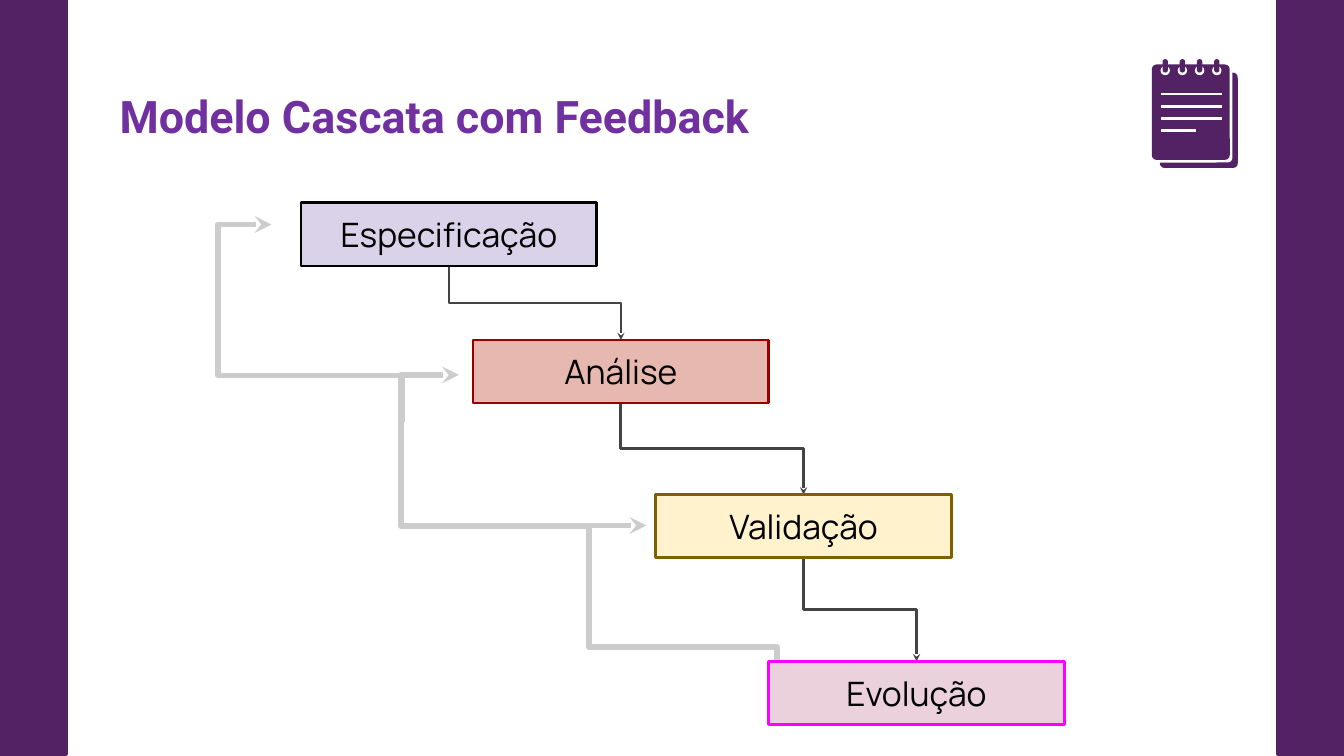
from lxml.etree import SubElement
from pptx import Presentation
from pptx.dml.color import RGBColor
from pptx.enum.shapes import MSO_CONNECTOR, MSO_SHAPE
from pptx.enum.text import MSO_ANCHOR, MSO_AUTO_SIZE, PP_ALIGN
from pptx.oxml.ns import qn
from pptx.util import Inches, Pt

PURPLE = RGBColor(0x53, 0x22, 0x64)
TITLE_PURPLE = RGBColor(0x70, 0x30, 0xA0)
WHITE = RGBColor(0xFF, 0xFF, 0xFF)
BLACK = RGBColor(0x00, 0x00, 0x00)
DARK_GRAY = RGBColor(0x43, 0x43, 0x43)
LIGHT_GRAY = RGBColor(0xCC, 0xCC, 0xCC)
LAVENDER = RGBColor(0xD9, 0xD2, 0xE9)
SALMON = RGBColor(0xE6, 0xB8, 0xAF)
DARK_RED = RGBColor(0x98, 0x00, 0x00)
CREAM = RGBColor(0xFF, 0xF2, 0xCC)
OLIVE = RGBColor(0x7F, 0x60, 0x00)
PINK = RGBColor(0xEA, 0xD1, 0xDC)
MAGENTA = RGBColor(0xFF, 0x00, 0xFF)

PHASE_WIDTH, PHASE_HEIGHT = 2.2, 0.47
PHASES = [
    ("Especificação", 2.24, 1.51, LAVENDER, BLACK),
    ("Análise", 3.52, 2.53, SALMON, DARK_RED),
    ("Validação", 4.88, 3.68, CREAM, OLIVE),
    ("Evolução", 5.72, 4.92, PINK, MAGENTA),
]
FEEDBACK_WIDTH, FEEDBACK_HEIGHT = 0.97, 1.47
FEEDBACK_BENDS = [(0.236, 1.41), (0.236, 1.442), (0.385, 1.442)]


def add_block(slide, kind, left, top, width, height, fill, outline=None, weight=1.5):
    block = slide.shapes.add_shape(
        kind, Inches(left), Inches(top), Inches(width), Inches(height))
    block.shadow.inherit = False
    block.fill.solid()
    block.fill.fore_color.rgb = fill
    if outline is None:
        block.line.fill.background()
    else:
        block.line.color.rgb = outline
        block.line.width = Pt(weight)
    return block


def add_title(slide, wording):
    title = slide.shapes.title
    title.left, title.top = Inches(0.79), Inches(0.56)
    title.width, title.height = Inches(5.47), Inches(0.65)
    frame = title.text_frame
    frame.text = wording
    frame.auto_size = MSO_AUTO_SIZE.NONE
    frame.vertical_anchor = MSO_ANCHOR.TOP
    frame.margin_left = frame.margin_right = Inches(0.1)
    frame.margin_top = frame.margin_bottom = Inches(0.1)
    heading = frame.paragraphs[0]
    heading.alignment = PP_ALIGN.LEFT
    heading.font.name = "Roboto"
    heading.font.size = Pt(24)
    heading.font.bold = True
    heading.font.color.rgb = TITLE_PURPLE


def add_phase(slide, name, left, top, fill, outline):
    phase = add_block(slide, MSO_SHAPE.RECTANGLE, left, top,
                      PHASE_WIDTH, PHASE_HEIGHT, fill, outline)
    frame = phase.text_frame
    frame.vertical_anchor = MSO_ANCHOR.MIDDLE
    frame.text = name
    label = frame.paragraphs[0]
    label.alignment = PP_ALIGN.CENTER
    label.font.name = "Manrope"
    label.font.size = Pt(18)
    label.font.color.rgb = BLACK


def add_line(slide, kind, start, end, color, weight):
    line = slide.shapes.add_connector(kind, *(Inches(n) for n in start + end))
    line.line.color.rgb = color
    line.line.width = Pt(weight)
    SubElement(line._element.spPr, qn("a:effectLst"))
    return line


def add_vertical_elbow(slide, start, end, rotation, color, weight, preset, bends, head):
    """Draw an elbow arrow that leaves start vertically: a quarter-turned, flipped frame."""
    (x1, y1), (x2, y2) = start, end
    middle_x, middle_y = (x1 + x2) / 2, (y1 + y2) / 2
    half_width, half_height = abs(y2 - y1) / 2, abs(x2 - x1) / 2
    elbow = add_line(slide, MSO_CONNECTOR.ELBOW,
                     (middle_x + half_width, middle_y - half_height),
                     (middle_x - half_width, middle_y + half_height), color, weight)
    properties = elbow._element.spPr
    properties.find(qn("a:xfrm")).set("rot", str(rotation * 60000))
    geometry = properties.find(qn("a:prstGeom"))
    geometry.set("prst", preset)
    adjustments = geometry.find(qn("a:avLst"))
    for number, bend in enumerate(bends, 1):
        SubElement(adjustments, qn("a:gd"), name=f"adj{number}",
                   fmla=f"val {round(bend * 100000)}")
    SubElement(properties.find(qn("a:ln")), qn("a:tailEnd"),
               type="stealth", w=head, len=head)


def add_notepad(slide):
    for left, top, width, height, fill in [
        (8.63, 0.54, 0.58, 0.71, PURPLE),
        (8.57, 0.48, 0.6, 0.73, WHITE),
        (8.57, 0.48, 0.58, 0.71, PURPLE),
    ]:
        page = add_block(slide, MSO_SHAPE.ROUNDED_RECTANGLE, left, top, width, height, fill)
        page.adjustments[0] = 0.06
    for ring in range(4):
        center = 8.67 + 0.128 * ring
        add_block(slide, MSO_SHAPE.OVAL, center - 0.035, 0.49, 0.07, 0.07, WHITE)
        pin = add_block(slide, MSO_SHAPE.ROUNDED_RECTANGLE,
                        center - 0.02, 0.44, 0.04, 0.1, PURPLE)
        pin.adjustments[0] = 0.5
    for row, right in enumerate([9.09, 9.09, 9.09, 8.9]):
        y = 0.7 + 0.09 * row
        add_line(slide, MSO_CONNECTOR.STRAIGHT, (8.64, y), (right, y), WHITE, 1.5)


def main():
    presentation = Presentation()
    presentation.slide_width = Inches(10)
    presentation.slide_height = Inches(5.625)
    slide = presentation.slides.add_slide(presentation.slide_layouts[5])

    for left in (9.51, 0):
        add_block(slide, MSO_SHAPE.RECTANGLE, left, 0, 0.49, 5.61, PURPLE, PURPLE, 2)
    add_notepad(slide)
    add_title(slide, "Modelo Cascata com Feedback")

    for (_, left, top, *_), (_, next_left, next_top, *_) in zip(PHASES, PHASES[1:]):
        add_vertical_elbow(
            slide, (left + PHASE_WIDTH / 2, top + PHASE_HEIGHT),
            (next_left + PHASE_WIDTH / 2, next_top),
            270, DARK_GRAY, 1.5, "bentConnector3", [0.5], "sm")
    for step, bends in enumerate(FEEDBACK_BENDS):
        x, y = 2.02 + 1.395 * step, 1.67 + 1.12 * step
        add_vertical_elbow(
            slide, (x + FEEDBACK_WIDTH, y + FEEDBACK_HEIGHT), (x, y),
            90, LIGHT_GRAY, 3, "bentConnector4", bends, "med")
    for phase in PHASES:
        add_phase(slide, *phase)

    presentation.save("out.pptx")


if __name__ == "__main__":
    main()
